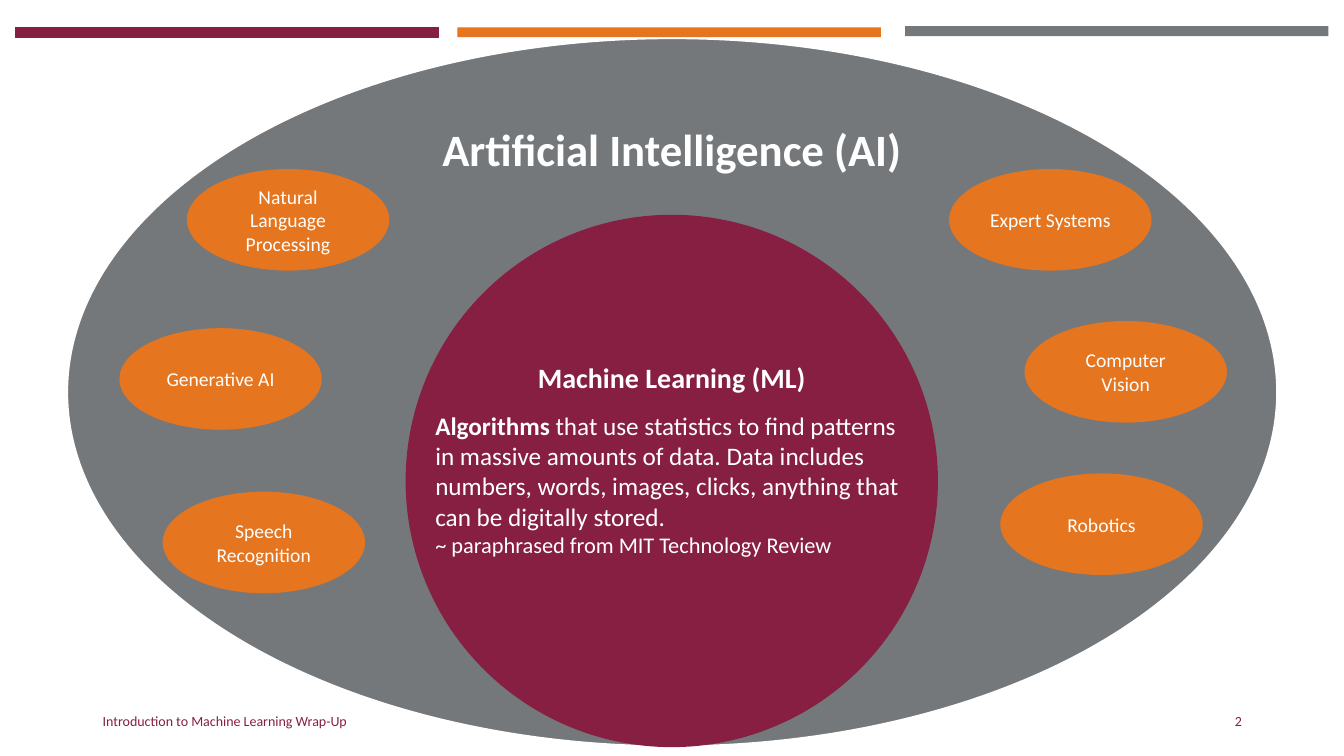
"""Build the slide that places machine learning inside artificial intelligence."""
from dataclasses import dataclass

from pptx import Presentation
from pptx.dml.color import RGBColor
from pptx.enum.shapes import MSO_SHAPE
from pptx.enum.text import MSO_ANCHOR, PP_ALIGN
from pptx.util import Cm, Pt

RECTANGLE, OVAL = MSO_SHAPE.RECTANGLE, MSO_SHAPE.OVAL
TOP, MIDDLE = MSO_ANCHOR.TOP, MSO_ANCHOR.MIDDLE
LEFT, CENTER, RIGHT = PP_ALIGN.LEFT, PP_ALIGN.CENTER, PP_ALIGN.RIGHT


@dataclass(frozen=True)
class Theme:
    font: str = "Calibri"
    maroon: str = "861F41"
    orange: str = "E5751F"
    gray: str = "75787B"
    white: str = "FFFFFF"
    title: int = 32
    heading: int = 20
    body: int = 18
    source: int = 16
    topic: int = 14
    footer: int = 10


THEME = Theme()


@dataclass(frozen=True)
class Span:
    text: str
    size: int
    color: str = THEME.white
    bold: bool = False


@dataclass(frozen=True)
class Area:
    left: float
    top: float
    width: float
    height: float

    def lengths(self) -> list:
        return [Cm(side) for side in (self.left, self.top, self.width, self.height)]


@dataclass(frozen=True)
class Figure:
    kind: MSO_SHAPE
    area: Area
    fill: str
    line: str = ""
    line_width: float = 0


BAR_WIDTH, BAR_HEIGHT = 10.67, 0.25
TOPIC_WIDTH, TOPIC_HEIGHT = 5.08, 2.54
FOOTER_TOP, FOOTER_HEIGHT = 17.65, 1.02

BARS = [
    Figure(RECTANGLE, Area(0.38, 0.69, BAR_WIDTH, BAR_HEIGHT), THEME.maroon, THEME.maroon, 0.75),
    Figure(RECTANGLE, Area(22.81, 0.66, BAR_WIDTH, BAR_HEIGHT), THEME.gray),
    Figure(RECTANGLE, Area(11.53, 0.69, BAR_WIDTH, BAR_HEIGHT), THEME.orange),
]
AI_FIELD = Figure(OVAL, Area(1.7, 0.97, 30.48, 17.83), THEME.gray, THEME.white, 1)
ML_FIELD = Figure(OVAL, Area(10.24, 5.43, 13.38, 13.38), THEME.maroon, THEME.maroon, 1)
AI_MARGINS = {"margin_left": 3.4, "margin_right": 3.4, "margin_top": -0.63, "margin_bottom": 11.48}
ML_MARGINS = {"margin_left": 0.41, "margin_right": 0.41, "margin_top": 1.78, "margin_bottom": 1.78}
TOPICS = {
    "Natural Language Processing": (4.72, 4.27),
    "Expert Systems": (23.93, 4.27),
    "Speech Recognition": (4.11, 12.4),
    "Computer Vision": (25.83, 8.1),
    "Robotics": (25.22, 11.94),
    "Generative AI": (3.02, 8.28),
}
DEFINITION = [
    [
        Span("Algorithms", THEME.body, bold=True),
        Span(
            " that use statistics to find patterns in massive amounts of data. Data includes "
            "numbers, words, images, clicks, anything that can be digitally stored.",
            THEME.body,
        ),
    ],
    [Span("~ paraphrased from MIT Technology Review", THEME.source)],
]


def write(shape, paragraphs: list, align=LEFT, anchor=MIDDLE, spacing=1.0, margins=None) -> None:
    """Fill a shape or text box with paragraphs of spans."""
    frame = shape.text_frame
    frame.word_wrap = True
    frame.vertical_anchor = anchor
    for name, value in (margins or {}).items():
        setattr(frame, name, Cm(value))
    for index, spans in enumerate(paragraphs):
        para = frame.add_paragraph() if index else frame.paragraphs[0]
        para.alignment = align
        para.line_spacing = spacing
        for span in spans:
            run = para.add_run()
            run.text = span.text
            formats = {"name": THEME.font, "size": Pt(span.size), "bold": span.bold}
            for name, value in formats.items():
                setattr(run.font, name, value)
            run.font.color.rgb = RGBColor.from_string(span.color)


def draw(page, figure: Figure):
    """Draw a filled figure and return its shape."""
    shape = page.shapes.add_shape(figure.kind, *figure.area.lengths())
    shape.shadow.inherit = False
    shape.fill.solid()
    shape.fill.fore_color.rgb = RGBColor.from_string(figure.fill)
    if figure.line:
        shape.line.color.rgb = RGBColor.from_string(figure.line)
        shape.line.width = Pt(figure.line_width)
    else:
        shape.line.fill.background()
    return shape


def add_text(page, area: Area, paragraphs: list, align=LEFT, anchor=MIDDLE) -> None:
    """Add a text box holding the paragraphs."""
    write(page.shapes.add_textbox(*area.lengths()), paragraphs, align, anchor)


def main() -> None:
    """Build and save the deck."""
    deck = Presentation()
    deck.slide_width, deck.slide_height = Cm(33.87), Cm(19.05)
    page = deck.slides.add_slide(deck.slide_layouts[6])

    for bar in BARS:
        draw(page, bar)

    footer = Span("Introduction to Machine Learning Wrap-Up", THEME.footer, THEME.maroon)
    number = Span("2", THEME.footer, THEME.maroon)
    add_text(page, Area(2.34, FOOTER_TOP, 11.43, FOOTER_HEIGHT), [[footer]])
    add_text(page, Area(23.93, FOOTER_TOP, 7.62, FOOTER_HEIGHT), [[number]], RIGHT)

    title = Span("Artificial Intelligence (AI)", THEME.title, bold=True)
    heading = Span("Machine Learning (ML)", THEME.heading, bold=True)
    write(draw(page, AI_FIELD), [[title]], CENTER, MIDDLE, 0.9, AI_MARGINS)
    write(draw(page, ML_FIELD), [[heading]], CENTER, TOP, 0.9, ML_MARGINS)

    for topic, (left, top) in TOPICS.items():
        area = Area(left, top, TOPIC_WIDTH, TOPIC_HEIGHT)
        shape = draw(page, Figure(OVAL, area, THEME.orange, THEME.orange, 0.5))
        write(shape, [[Span(topic, THEME.topic)]], CENTER)

    add_text(page, Area(10.72, 10.21, 12.45, 4.78), DEFINITION, LEFT, TOP)
    deck.save("out.pptx")


if __name__ == "__main__":
    main()
